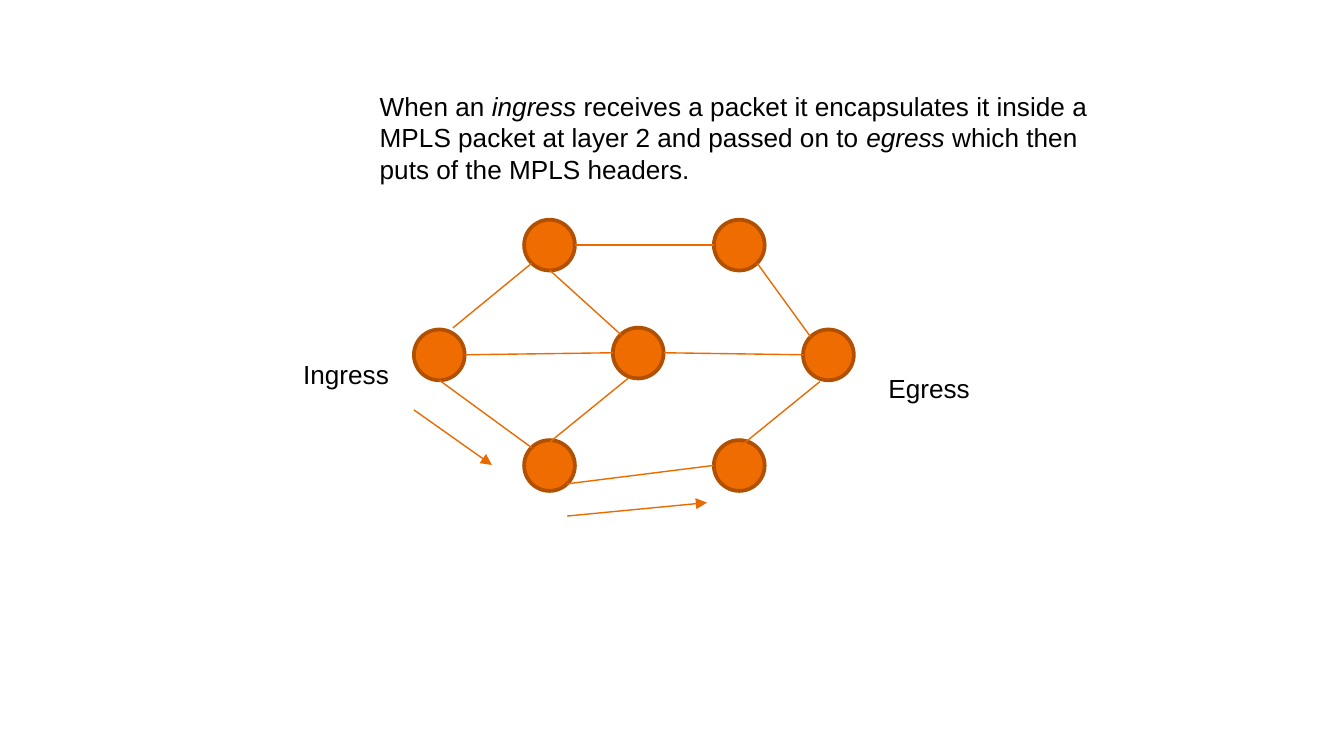
from lxml.etree import SubElement
from pptx import Presentation
from pptx.dml.color import RGBColor
from pptx.enum.shapes import MSO_CONNECTOR, MSO_SHAPE
from pptx.enum.text import MSO_AUTO_SIZE
from pptx.oxml.ns import qn
from pptx.util import Inches, Pt

COLORS = {"text": "000000", "node": "EF6C00", "rim": "B15000", "link": "EA6A00"}

# A 16:9 slide
deck = Presentation()
deck.slide_width = Inches(10)
deck.slide_height = deck.slide_width * 9 // 16
page = deck.slides.add_slide(deck.slide_layouts[6])

# Square grid: 100 columns across the slide, rows of the same size
UNIT = deck.slide_width / 100


def grid(*counts):
    return [round(count * UNIT) for count in counts]


def add_text(place, spans, size=14, font="Arial", color="text", wrap=True):
    """Add a text box; spans are (text, italic) pairs."""
    box = page.shapes.add_textbox(*grid(*place))
    frame = box.text_frame
    frame.word_wrap = wrap
    frame.auto_size = MSO_AUTO_SIZE.SHAPE_TO_FIT_TEXT
    frame.margin_left = frame.margin_right = Pt(5.4)
    frame.margin_top = frame.margin_bottom = Pt(2.7)
    para = frame.paragraphs[0]
    for text, italic in spans:
        span = para.add_run()
        span.text = text
        span.font.name, span.font.size, span.font.italic = font, Pt(size), italic
        span.font.color.rgb = RGBColor.from_string(COLORS[color])


# Explanation
add_text((27.5, 6.35, 57.2, 7.8), [
    ("When an ", False),
    ("ingress", True),
    (" receives a packet it encapsulates it inside a MPLS packet at layer 2 "
     "and passed on to ", False),
    ("egress", True),
    (" which then puts of the MPLS headers.", False),
])

# Routers: left and top of each circle
DIAMETER = 3.78
middle_routers = [(30.8, 24.52), (45.6, 24.38), (59.75, 24.52)]
outer_routers = [(left, top) for top in (16.35, 32.75) for left in (39, 53.12)]
for left, top in middle_routers + outer_routers:
    router = page.shapes.add_shape(
        MSO_SHAPE.OVAL, *grid(left, top, DIAMETER, DIAMETER))
    router.shadow.inherit = False
    router.fill.solid()
    router.fill.fore_color.rgb = RGBColor.from_string(COLORS["node"])
    router.line.color.rgb = RGBColor.from_string(COLORS["rim"])
    router.line.width = Pt(2)

# Links between routers, then arrows along the packet's way
links = [
    (33.7, 24.4, 39.55, 19.6),
    (42.8, 18.23, 53.1, 18.23),
    (60.3, 25.05, 56.35, 19.6),
    (34.6, 26.4, 45.6, 26.25),
    (32.7, 28.3, 39.55, 33.3),
    (42.2, 36, 53.1, 34.63),
    (55.1, 33.2, 61, 28.4),
    (49.4, 26.25, 59.8, 26.4),
    (40.9, 32.9, 46.8, 28.1),
    (46.2, 24.9, 40.9, 20.1),
]
packet_arrows = [(30.8, 30.5, 36.6, 34.6), (42.2, 38.4, 52.6, 37.4)]
for ends in links + packet_arrows:
    line = page.shapes.add_connector(MSO_CONNECTOR.STRAIGHT, *grid(*ends))
    line.line.color.rgb = RGBColor.from_string(COLORS["link"])
    line.line.width = Pt(0.75)
    properties = line._element.spPr
    if ends in packet_arrows:
        SubElement(properties.get_or_add_ln(), qn("a:tailEnd"), type="triangle")
    SubElement(properties, qn("a:effectLst"))

# Router labels
add_text((65.35, 27.35, 8.5, 3.1), [("Egress", False)])
add_text((21.8, 26.3, 7.9, 3.1), [("Ingress", False)], wrap=False)

deck.save("out.pptx")
